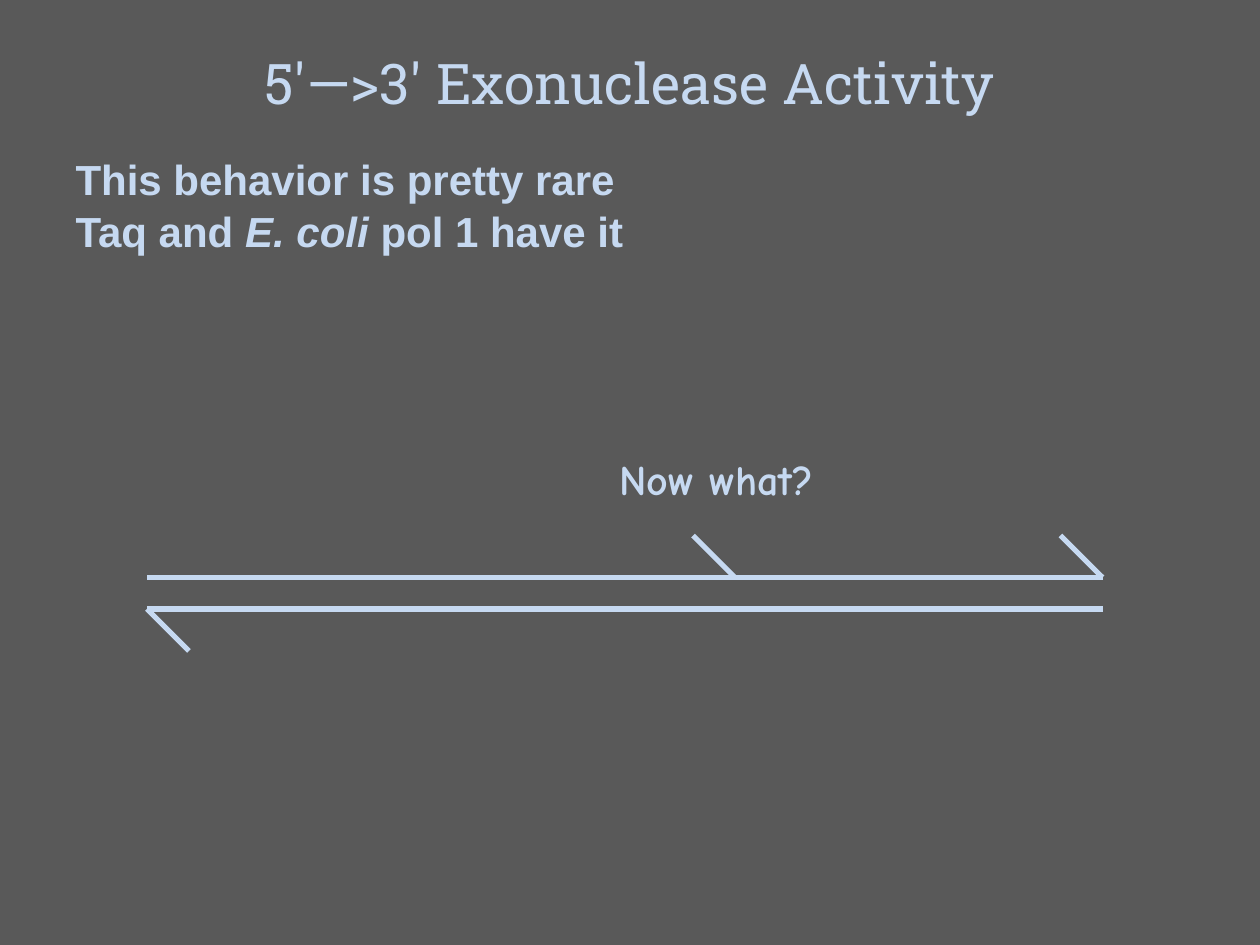
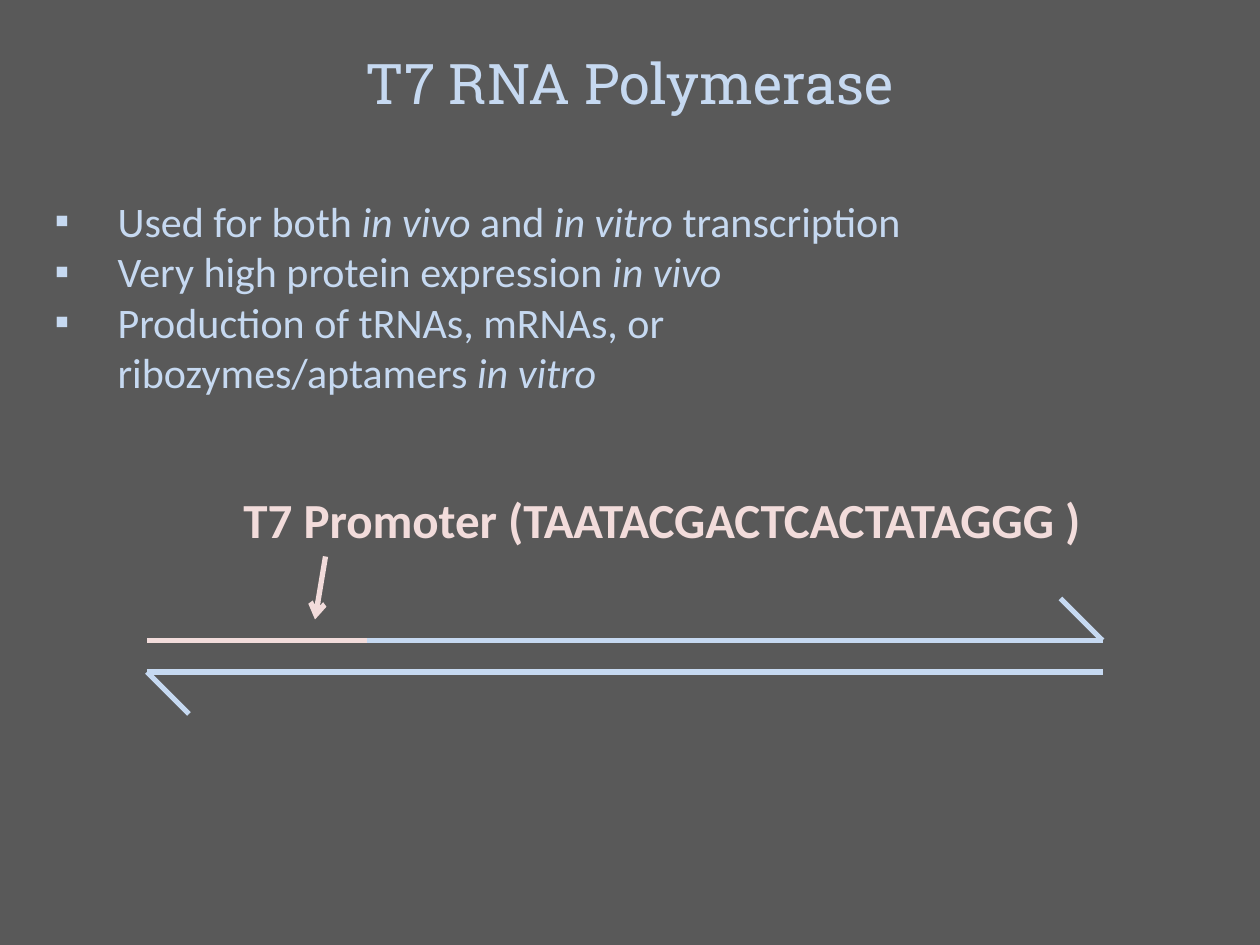
from dataclasses import dataclass

from lxml.etree import SubElement
from pptx import Presentation
from pptx.dml.color import RGBColor
from pptx.enum.shapes import MSO_CONNECTOR
from pptx.enum.text import MSO_ANCHOR, MSO_AUTO_SIZE, PP_ALIGN
from pptx.oxml.ns import qn
from pptx.util import Inches, Pt


@dataclass(frozen=True)
class Theme:
    background: RGBColor = RGBColor(0x59, 0x59, 0x59)
    strand: RGBColor = RGBColor(0xC6, 0xD9, 0xF1)
    promoter: RGBColor = RGBColor(0xF2, 0xDC, 0xDB)
    title_font: str = "Roboto Slab"
    plain_font: str = "Arial"
    list_font: str = "Calibri"
    remark_font: str = "Comic Neue"
    title_size: int = 32
    label_size: int = 28
    body_size: int = 24
    line_width: int = 3
    bullet: str = "▪"
    bullet_indent: float = 0.5


COLUMNS, ROWS = 120, 90
STRAND_START, STRAND_END = 14, 105
STRAND_GAP = 3
BARB = 4


class Deck:
    """Places elements on a grid of COLUMNS by ROWS on the current slide."""

    def __init__(self, theme):
        self.theme = theme
        self.presentation = Presentation()
        self.presentation.slide_width = Inches(10)
        self.presentation.slide_height = Inches(7.5)
        fill = self.presentation.slide_master.background.fill
        fill.solid()
        fill.fore_color.rgb = theme.background
        self.slide = None

    def x(self, column):
        return round(self.presentation.slide_width * column / COLUMNS)

    def y(self, row):
        return round(self.presentation.slide_height * row / ROWS)

    def area(self, column, row, width, height):
        return self.x(column), self.y(row), self.x(width), self.y(height)

    def add_slide(self, title):
        layout = self.presentation.slide_layouts[1]
        self.slide = self.presentation.slides.add_slide(layout)
        heading = self.slide.shapes.title
        self.place(heading, (0, 4, COLUMNS, 7.7))
        self.set_text(heading, [title], self.theme.title_font,
                      self.theme.title_size, align=PP_ALIGN.CENTER)

    def place(self, placeholder, area):
        (placeholder.left, placeholder.top,
         placeholder.width, placeholder.height) = self.area(*area)

    def set_text(self, shape, lines, font, size, color=None, bold=False,
                 align=PP_ALIGN.LEFT, bullet=None, gap=0):
        """Fill a shape with lines, where *asterisks* mark italics."""
        frame = shape.text_frame
        frame.word_wrap = True
        frame.auto_size = MSO_AUTO_SIZE.NONE
        frame.vertical_anchor = MSO_ANCHOR.TOP
        for index, line in enumerate(lines):
            paragraph = frame.add_paragraph() if index else frame.paragraphs[0]
            self.set_bullet(paragraph, bullet)
            paragraph.alignment = align
            paragraph.space_before = Pt(gap if index else 0)
            paragraph.font.name = font
            paragraph.font.size = Pt(size)
            paragraph.font.bold = bold
            paragraph.font.color.rgb = color or self.theme.strand
            for part, words in enumerate(line.split("*")):
                if words:
                    run = paragraph.add_run()
                    run.text = words
                    if part % 2:
                        run.font.italic = True

    def set_bullet(self, paragraph, bullet):
        properties = paragraph._p.get_or_add_pPr()
        indent = Inches(self.theme.bullet_indent) if bullet else 0
        properties.set("marL", str(indent))
        properties.set("indent", str(-indent))
        if bullet:
            SubElement(properties, qn("a:buChar")).set("char", bullet)
        else:
            SubElement(properties, qn("a:buNone"))

    def body(self, area, lines, font, **style):
        content = self.slide.placeholders[1]
        self.place(content, area)
        self.set_text(content, lines, font, self.theme.body_size, **style)

    def label(self, area, words, font, size, color=None):
        box = self.slide.shapes.add_textbox(*self.area(*area))
        self.set_text(box, [words], font, size, color, bold=True)

    def line(self, start, end, color=None, arrow=False):
        connector = self.slide.shapes.add_connector(
            MSO_CONNECTOR.STRAIGHT, self.x(start[0]), self.y(start[1]),
            self.x(end[0]), self.y(end[1]))
        connector.line.color.rgb = color or self.theme.strand
        connector.line.width = Pt(self.theme.line_width)
        if arrow:
            outline = connector.line._get_or_add_ln()
            SubElement(outline, qn("a:tailEnd")).set("type", "arrow")
        SubElement(connector._element.spPr, qn("a:effectLst"))

    def half_arrow(self, tail, tip, row):
        """Draw a strand whose barb lies above it if it points right, else below."""
        back = -BARB if tip > tail else BARB
        self.line((tip, row), (tail, row))
        self.line((tip, row), (tip + back, row + back))

    def duplex(self, row, junction):
        """Draw both strands; the upper one starts at the junction."""
        self.half_arrow(STRAND_END, STRAND_START, row + STRAND_GAP)
        self.half_arrow(junction, STRAND_END, row)


def exonuclease_slide(deck):
    theme = deck.theme
    nick, top_strand = 70, 55
    deck.add_slide("5'—>3' Exonuclease Activity")
    deck.body((6, 14, 104, 11),
              ["This behavior is pretty rare", "Taq and *E. coli* pol 1 have it"],
              theme.plain_font, bold=True, gap=1)
    deck.duplex(top_strand, nick)
    deck.half_arrow(STRAND_START, nick, top_strand)
    deck.label((57.8, 42.6, 26.5, 6), "Now what?",
               theme.remark_font, theme.body_size)


def polymerase_slide(deck):
    theme = deck.theme
    promoter_end, top_strand = 35, 61
    deck.add_slide("T7 RNA Polymerase")
    deck.body((4, 18, 84, 20.6),
              ["Used for both *in vivo* and *in vitro* transcription",
               "Very high protein expression *in vivo*",
               "Production of tRNAs, mRNAs, or ribozymes/aptamers *in vitro*"],
              theme.list_font, bullet=theme.bullet)
    deck.duplex(top_strand, promoter_end)
    deck.label((22, 46, 83.2, 6.8), "T7 Promoter (TAATACGACTCACTATAGGG )",
               theme.list_font, theme.label_size, theme.promoter)
    deck.line((promoter_end, top_strand), (STRAND_START, top_strand), theme.promoter)
    deck.line((31, 53), (30, 59), theme.promoter, arrow=True)


def main():
    deck = Deck(Theme())
    exonuclease_slide(deck)
    polymerase_slide(deck)
    deck.presentation.save("out.pptx")


if __name__ == "__main__":
    main()
